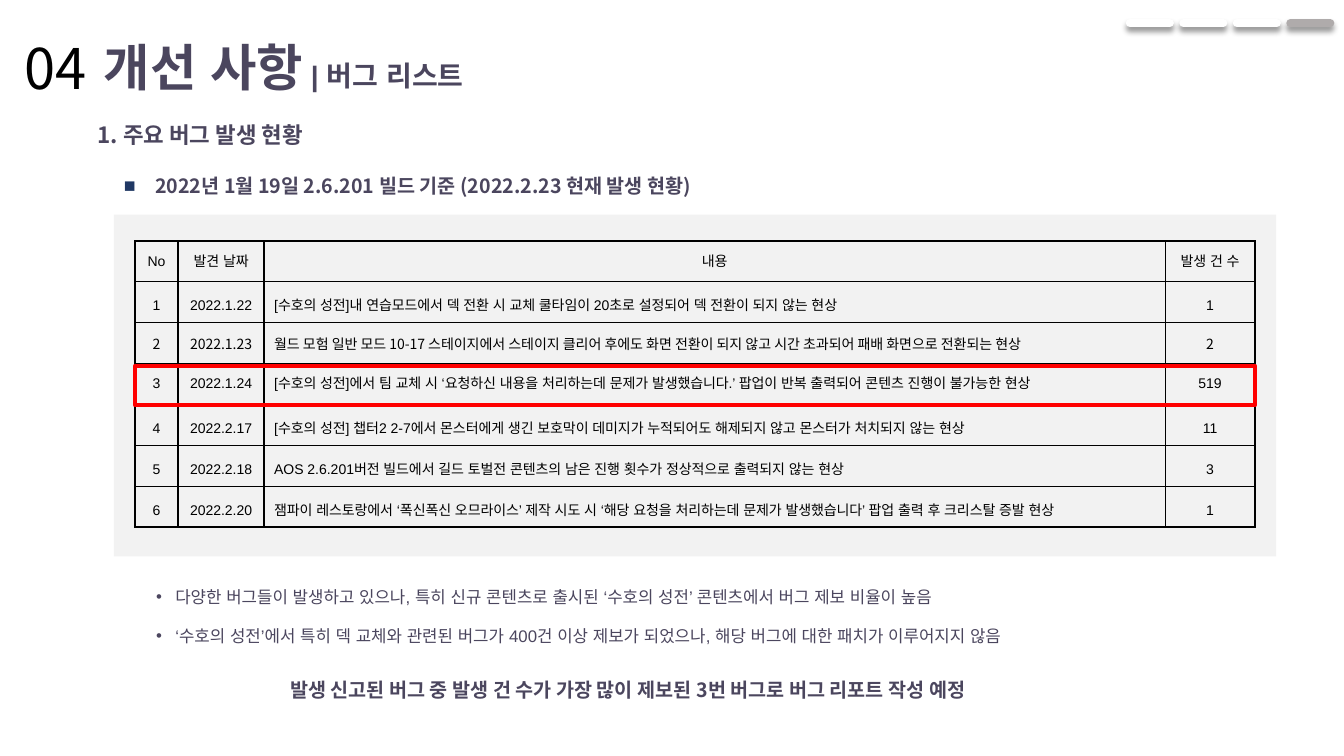
from lxml import etree
from pptx import Presentation, util as u
from pptx.dml.color import RGBColor
from pptx.enum import shapes, text
from pptx.oxml import ns

INK = RGBColor(0x4B, 0x46, 0x5E)
BLACK = RGBColor(0, 0, 0)
WHITE = RGBColor(255, 255, 255)
PANEL = RGBColor(0xF2, 0xF2, 0xF2)
MARKER = RGBColor(0xAF, 0xAB, 0xAB)
RED = RGBColor(255, 0, 0)
NAVY = RGBColor(0x20, 0x38, 0x64)
ARIAL, NOTO = "Arial", "Noto Sans CJK KR"
CENTER = text.PP_ALIGN.CENTER

deck = Presentation()
deck.slide_width, deck.slide_height = u.Inches(13.33), u.Inches(7.5)
page = deck.slides.add_slide(deck.slide_layouts[6])
COL, ROW = deck.slide_width / 100, deck.slide_height / 100


def place(left, top, width, height):
    """Turn percentages of the slide into lengths."""
    return [round(n * unit) for n, unit in zip((left, top, width, height), (COL, ROW) * 2)]


def write(para, words, face, size, color, bold=False):
    span = para.add_run()
    span.text = words
    look = {"name": face, "size": u.Pt(size), "bold": bold}
    for key, value in look.items():
        setattr(span.font, key, value)
    span.font.color.rgb = color
    east_asian = etree.SubElement(span.font._element, ns.qn("a:ea"))
    east_asian.set("typeface", face)


# Grey panel behind the table
panel = page.shapes.add_shape(shapes.MSO_SHAPE.RECTANGLE, *place(8.48, 28.4, 86.48, 45.2))
panel.shadow.inherit = False
panel.fill.solid()
panel.fill.fore_color.rgb = PANEL
panel.line.fill.background()

# Text boxes: place, paragraphs of (words, size) spans, face, colour, bold, extras
BOXES = [
    ((6.98, 4.13, 48.3, 9.47), [[("개선 사항", 36), (" | 버그 리스트", 20)]], ARIAL, INK, True, {}),
    ((0.68, 3.73, 6.9, 10.27), [[("04", 40)]], NOTO, BLACK, False, {"align": CENTER, "wrap": False}),
    ((6.53, 15.33, 20.25, 4.93), [[("1. 주요 버그 발생 현황", 16)]], NOTO, INK, True, {}),
    ((8.48, 21.73, 46.73, 4.8),
     [[("2022년 1월 19일 2.6.201 빌드 기준 (2022.2.23 현재 발생 현황)", 14)]],
     NOTO, INK, True, {"spacing": 1.2, "bullet": ("■", NAVY, 0.31)}),
    ((10.88, 75.6, 81.15, 10),
     [[("다양한 버그들이 발생하고 있으나, 특히 신규 콘텐츠로 출시된 ‘수호의 성전’ 콘텐츠에서 버그 제보 비율이 높음", 12)],
      [("‘수호의 성전’에서 특히 덱 교체와 관련된 버그가 400건 이상 제보가 되었으나, 해당 버그에 대한 패치가 이루어지지 않음", 12)]],
     ARIAL, INK, False, {"spacing": 1.5, "bullet": ("•", INK, 0.19)}),
    ((20.85, 88.4, 58.28, 4.8),
     [[("발생 신고된 버그 중 발생 건 수가 가장 많이 제보된 3번 버그로 버그 리포트 작성 예정", 14)]],
     NOTO, INK, True, {"spacing": 1.2}),
]
for spot, paragraphs, face, color, bold, extras in BOXES:
    box = page.shapes.add_textbox(*place(*spot))
    frame = box.text_frame
    frame.word_wrap = extras.get("wrap", True)
    frame.auto_size = text.MSO_AUTO_SIZE.SHAPE_TO_FIT_TEXT
    for index, spans in enumerate(paragraphs):
        para = frame.add_paragraph() if index else frame.paragraphs[0]
        if "bullet" in extras:
            sign, tint, indent = extras["bullet"]
            props = para._p.get_or_add_pPr()
            props.set("marL", str(u.Inches(indent)))
            props.set("indent", str(-u.Inches(indent)))
            bullet_color = etree.SubElement(props, ns.qn("a:buClr"))
            etree.SubElement(bullet_color, ns.qn("a:srgbClr")).set("val", str(tint))
            etree.SubElement(props, ns.qn("a:buFont")).set("typeface", ARIAL)
            etree.SubElement(props, ns.qn("a:buChar")).set("char", sign)
        para.alignment = extras.get("align")
        para.line_spacing = extras.get("spacing")
        if index:
            para.space_before = u.Pt(6)
        for words, size in spans:
            write(para, words, face, size, color, bold)

# Section markers, the last one being the current section
SHADOW = f"""<a:effectLst {ns.nsdecls("a")}>
<a:outerShdw blurRad="{u.Pt(4)}" dist="{u.Pt(3)}" dir="5400000" algn="t" rotWithShape="0">
<a:srgbClr val="000000"><a:alpha val="40000"/></a:srgbClr></a:outerShdw></a:effectLst>"""
for index, color in enumerate([WHITE, WHITE, WHITE, MARKER]):
    left, top, length, _ = place(84.08 + 3.98 * index, 3.07, 2.95, 0)
    marker = page.shapes.add_connector(
        shapes.MSO_CONNECTOR.STRAIGHT, left, top, left + length, top)
    marker.line.color.rgb = color
    marker.line.width = u.Pt(6)
    marker.line._ln.set("cap", "rnd")
    marker._element.spPr.append(etree.fromstring(SHADOW))

# Bug table: each row ends with its line spacing and face
BUGS = [
    ("No", "발견 날짜", "내용", "발생 건 수", 1, ARIAL),
    ("1", "2022.1.22", "[수호의 성전]내 연습모드에서 덱 전환 시 교체 쿨타임이 20초로 설정되어 덱 전환이 되지 않는 현상",
     "1", 1.5, ARIAL),
    ("2", "2022.1.23", "월드 모험 일반 모드 10-17 스테이지에서 스테이지 클리어 후에도 화면 전환이 되지 않고 시간 초과되어 패배 화면으로 전환되는 현상",
     "2", 1, NOTO),
    ("3", "2022.1.24", "[수호의 성전]에서 팀 교체 시 ‘요청하신 내용을 처리하는데 문제가 발생했습니다.’ 팝업이 반복 출력되어 콘텐츠 진행이 불가능한 현상",
     "519", 1, ARIAL),
    ("4", "2022.2.17", "[수호의 성전] 챕터2 2-7에서 몬스터에게 생긴 보호막이 데미지가 누적되어도 해제되지 않고 몬스터가 처치되지 않는 현상",
     "11", 1.5, ARIAL),
    ("5", "2022.2.18", "AOS 2.6.201버전 빌드에서 길드 토벌전 콘텐츠의 남은 진행 횟수가 정상적으로 출력되지 않는 현상",
     "3", 1.5, ARIAL),
    ("6", "2022.2.20", "잼파이 레스토랑에서 ‘폭신폭신 오므라이스’ 제작 시도 시 ‘해당 요청을 처리하는데 문제가 발생했습니다’ 팝업 출력 후 크리스탈 증발 현상",
     "1", 1.5, ARIAL),
]
COLUMN_SHARES = [3.2, 6.4, 67.05, 6.68]
table = page.shapes.add_table(
    len(BUGS), len(COLUMN_SHARES), *place(10.05, 31.87, sum(COLUMN_SHARES), 37.87)).table
for column, share in zip(table.columns, COLUMN_SHARES):
    column.width = round(share * COL)
for r, (*entries, spacing, face) in enumerate(BUGS):
    for c, words in enumerate(entries):
        cell = table.cell(r, c)
        cell.vertical_anchor = text.MSO_ANCHOR.MIDDLE
        para = cell.text_frame.paragraphs[0]
        para.line_spacing = spacing
        para.alignment = text.PP_ALIGN.LEFT if r and c == 2 else CENTER
        write(para, words, face, 10, BLACK)
        props = cell._tc.get_or_add_tcPr()
        for side in ("lnL", "lnR", "lnT", "lnB"):
            edge = etree.SubElement(props, ns.qn(f"a:{side}"), w=str(u.Pt(1)))
            fill = etree.SubElement(edge, ns.qn("a:solidFill"))
            etree.SubElement(fill, ns.qn("a:srgbClr")).set("val", str(BLACK))
        cell.fill.background()

# Frame around the most reported bug
highlight = page.shapes.add_shape(shapes.MSO_SHAPE.RECTANGLE, *place(10.05, 48.4, 83.33, 5.2))
highlight.shadow.inherit = False
highlight.fill.background()
highlight.line.color.rgb = RED
highlight.line.width = u.Pt(3)

deck.save("out.pptx")
